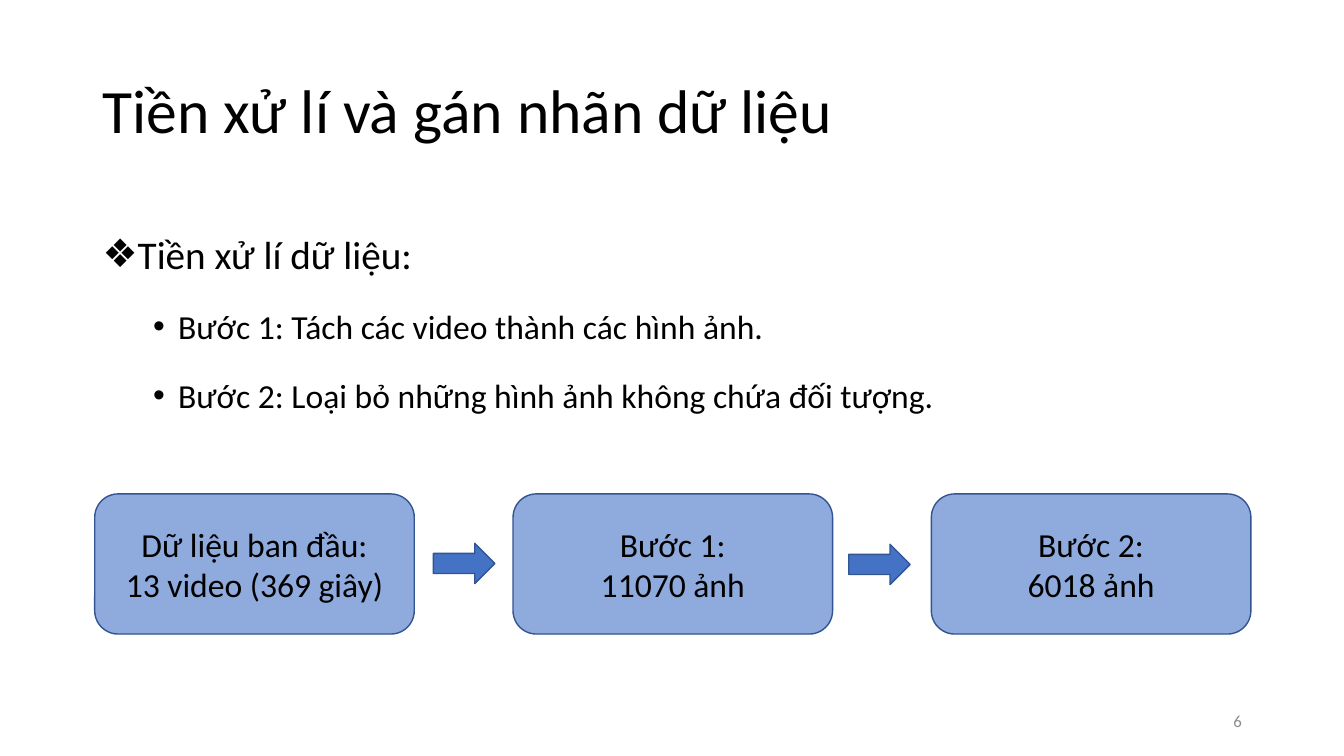
from lxml.etree import SubElement
from pptx import Presentation
from pptx.dml.color import RGBColor
from pptx.enum.shapes import MSO_SHAPE
from pptx.enum.text import MSO_ANCHOR, MSO_AUTO_SIZE, PP_ALIGN
from pptx.oxml.ns import qn
from pptx.util import Pt

PX = 9144  # EMU per px, 100 px to the inch
FONT = "Calibri"
BLACK = RGBColor(0x00, 0x00, 0x00)
GREY = RGBColor(0x8C, 0x8C, 0x8C)
BOX_BLUE = RGBColor(0x8F, 0xAA, 0xDC)
ARROW_BLUE = RGBColor(0x44, 0x72, 0xC4)
OUTLINE_BLUE = RGBColor(0x32, 0x54, 0x91)


def write(paragraph, text, size=24, color=BLACK, align=PP_ALIGN.LEFT,
          line_spacing=1.0, space_before=0):
    """Put formatted text into a paragraph."""
    paragraph.alignment = align
    paragraph.line_spacing = line_spacing
    paragraph.space_before = Pt(space_before)
    run = paragraph.add_run()
    run.text = text
    run.font.name = FONT
    run.font.size = Pt(size)
    run.font.color.rgb = color


def add_bullet(paragraph, character, indent, hanging):
    properties = paragraph._p.get_or_add_pPr()
    properties.set("marL", str(indent * PX))
    properties.set("indent", str(-hanging * PX))
    SubElement(properties, qn("a:buFont")).set("typeface", "Arial")
    SubElement(properties, qn("a:buChar")).set("char", character)


def lines_of(frame, count):
    """Return the first paragraph and as many more as are needed."""
    return [frame.paragraphs[0]] + [frame.add_paragraph() for _ in range(count - 1)]


class SlideBuilder:
    def __init__(self, presentation):
        self.slide = presentation.slides.add_slide(presentation.slide_layouts[5])

    def title(self, text, *box):
        shape = self.slide.shapes.title
        shape.left, shape.top, shape.width, shape.height = [n * PX for n in box]
        frame = shape.text_frame
        frame.auto_size = MSO_AUTO_SIZE.NONE
        frame.vertical_anchor = MSO_ANCHOR.MIDDLE
        write(frame.paragraphs[0], text, size=44, line_spacing=0.9)

    def text_box(self, *box, anchor=MSO_ANCHOR.TOP):
        frame = self.slide.shapes.add_textbox(*[n * PX for n in box]).text_frame
        frame.word_wrap = True
        frame.vertical_anchor = anchor
        return frame

    def bullets(self, items, *box):
        frame = self.text_box(*box)
        for paragraph, (level, text) in zip(lines_of(frame, len(items)), items):
            paragraph.level = level
            write(paragraph, text, size=28 - 4 * level,
                  line_spacing=1.5, space_before=6)
            add_bullet(paragraph, "❖•"[level], 25 + 50 * level, 25)

    def shape(self, kind, fill, *box):
        shape = self.slide.shapes.add_shape(kind, *[n * PX for n in box])
        shape.shadow.inherit = False
        shape.fill.solid()
        shape.fill.fore_color.rgb = fill
        shape.line.color.rgb = OUTLINE_BLUE
        shape.line.width = Pt(1)
        return shape

    def step(self, lines, *box):
        frame = self.shape(MSO_SHAPE.ROUNDED_RECTANGLE, BOX_BLUE, *box).text_frame
        frame.word_wrap = True
        frame.vertical_anchor = MSO_ANCHOR.MIDDLE
        for paragraph, text in zip(lines_of(frame, len(lines)), lines):
            write(paragraph, text, align=PP_ALIGN.CENTER)

    def arrow(self, *box):
        self.shape(MSO_SHAPE.RIGHT_ARROW, ARROW_BLUE, *box)

    def page_number(self, number, *box):
        frame = self.text_box(*box, anchor=MSO_ANCHOR.MIDDLE)
        write(frame.paragraphs[0], number, size=12, color=GREY,
              align=PP_ALIGN.RIGHT)


def main():
    presentation = Presentation()
    presentation.slide_width = 12192000
    presentation.slide_height = 6858000
    builder = SlideBuilder(presentation)

    # Title and outline
    builder.title("Tiền xử lí và gán nhãn dữ liệu", 92, 40, 1150, 145)
    builder.bullets([
        (0, "Tiền xử lí dữ liệu:"),
        (1, "Bước 1: Tách các video thành các hình ảnh."),
        (1, "Bước 2: Loại bỏ những hình ảnh không chứa đối tượng."),
    ], 92, 200, 1150, 476)

    # Process: boxes joined by arrows
    steps = [
        ("Dữ liệu ban đầu:", "13 video (369 giây)"),
        ("Bước 1:", "11070 ảnh"),
        ("Bước 2:", "6018 ảnh"),
    ]
    for index, lines in enumerate(steps):
        builder.step(lines, 94 + 415 * index, 490, 317, 139)
    for index in range(len(steps) - 1):
        builder.arrow(430 + 412 * index, 539 + index, 61, 40)

    # Footer
    builder.page_number("6", 942, 695, 300, 40)

    presentation.save("out.pptx")


if __name__ == "__main__":
    main()
